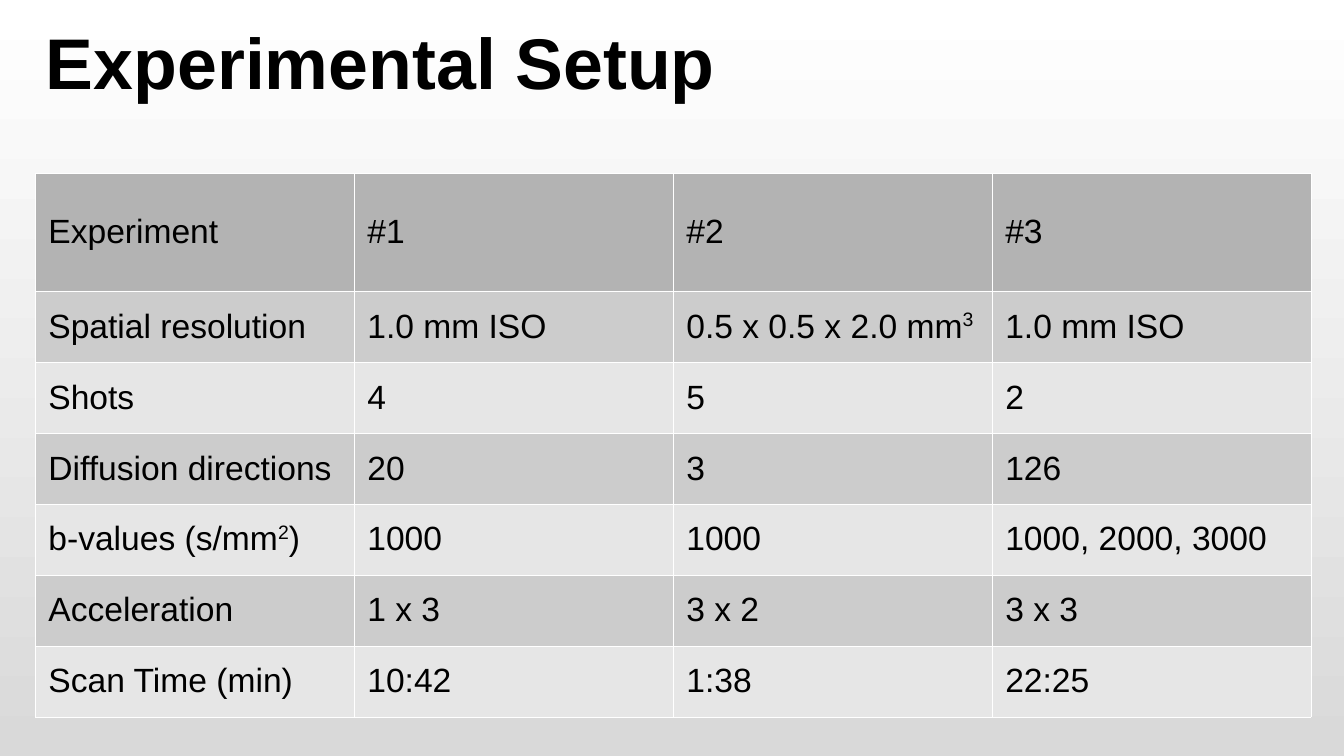
from lxml import etree
from pptx import Presentation
from pptx import util as u
from pptx.dml.color import RGBColor
from pptx.enum import text
from pptx.oxml.ns import qn

PX = 914400 / 134.4  # EMU per pixel


def px(n):
    return u.Emu(round(n * PX))


def color(value):
    return RGBColor.from_string(value)


prs = Presentation()
prs.slide_width, prs.slide_height = px(1344), px(756)
s = prs.slides.add_slide(prs.slide_layouts[5])

# Background: white at the top, grey at the bottom
bg = s.background.fill
bg.gradient()
bg.gradient_angle = 270
for stop, value in zip(bg.gradient_stops, ("FFFFFF", "D9D9D9")):
    stop.color.rgb = color(value)
for stop, position in zip(bg.gradient_stops, (0, 1)):
    stop.position = position

# Title
title = s.shapes.title
title.left, title.top, title.width, title.height = px(46), px(4), px(1252), px(113)
tf = title.text_frame
tf.auto_size = text.MSO_AUTO_SIZE.NONE
tf.vertical_anchor = text.MSO_ANCHOR.MIDDLE
tf.margin_left = tf.margin_right = 0
tf.margin_top = tf.margin_bottom = u.Inches(0.1)
p = tf.paragraphs[0]
p.alignment = text.PP_ALIGN.LEFT
r = p.add_run()
r.text = "Experimental Setup"
r.font.name, r.font.size, r.font.bold = "Arial", u.Pt(38.4), True
r.font.color.rgb = color("000000")

# Table: every second part between ^ marks is superscript
rows = [
    ("Experiment", "#1", "#2", "#3"),
    ("Spatial resolution", "1.0 mm ISO", "0.5 x 0.5 x 2.0 mm^3^", "1.0 mm ISO"),
    ("Shots", "4", "5", "2"),
    ("Diffusion directions", "20", "3", "126"),
    ("b-values (s/mm^2^)", "1000", "1000", "1000, 2000, 3000"),
    ("Acceleration", "1 x 3", "3 x 2", "3 x 3"),
    ("Scan Time (min)", "10:42", "1:38", "22:25"),
]
HEADER_H, ROW_H, COL_W = 118, 71, 319
table = s.shapes.add_table(len(rows), 4, px(35), px(173), px(4 * COL_W),
                           px(HEADER_H + 6 * ROW_H)).table
for col in table.columns:
    col.width = px(COL_W)

for i, values in enumerate(rows):
    table.rows[i].height = px(ROW_H if i else HEADER_H)
    fill = ("CCCCCC" if i % 2 else "E6E6E6") if i else "B3B3B3"
    for j, value in enumerate(values):
        cell = table.cell(i, j)
        cell.vertical_anchor = text.MSO_ANCHOR.MIDDLE

        # Thin white borders, then the fill
        tcPr = cell._tc.get_or_add_tcPr()
        for side in ("a:lnL", "a:lnR", "a:lnT", "a:lnB"):
            ln = etree.SubElement(tcPr, qn(side), w="762")
            solid = etree.SubElement(ln, qn("a:solidFill"))
            etree.SubElement(solid, qn("a:srgbClr"), val="FFFFFF")
        cell.fill.solid()
        cell.fill.fore_color.rgb = color(fill)

        p = cell.text_frame.paragraphs[0]
        for k, part in enumerate(value.split("^")):
            if not part:
                continue
            r = p.add_run()
            r.text = part
            r.font.name, r.font.size, r.font.bold = "Arial", u.Pt(18), False
            r.font.color.rgb = color("000000")
            if k % 2:
                r.font._element.set("baseline", "33000")

prs.save("out.pptx")
